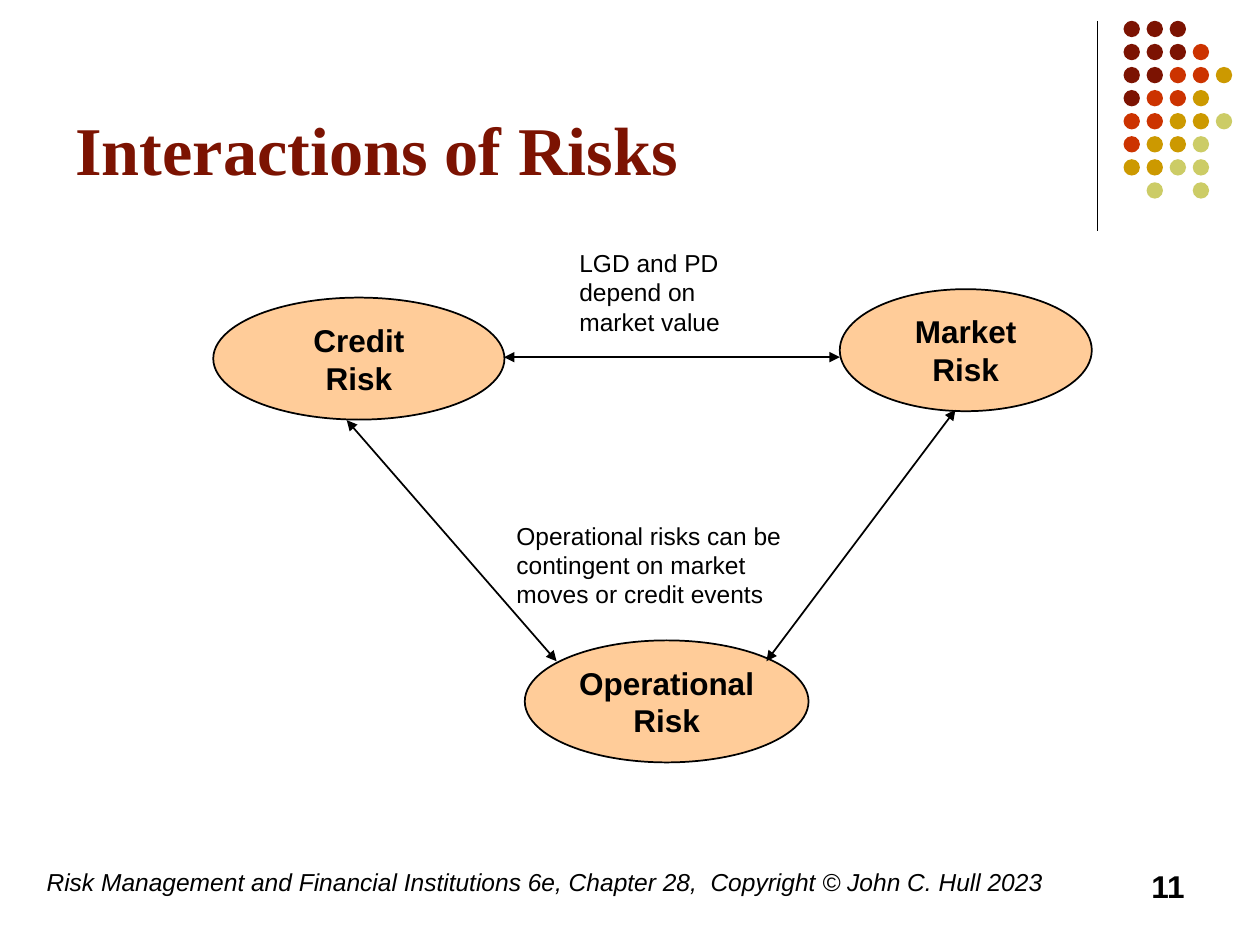
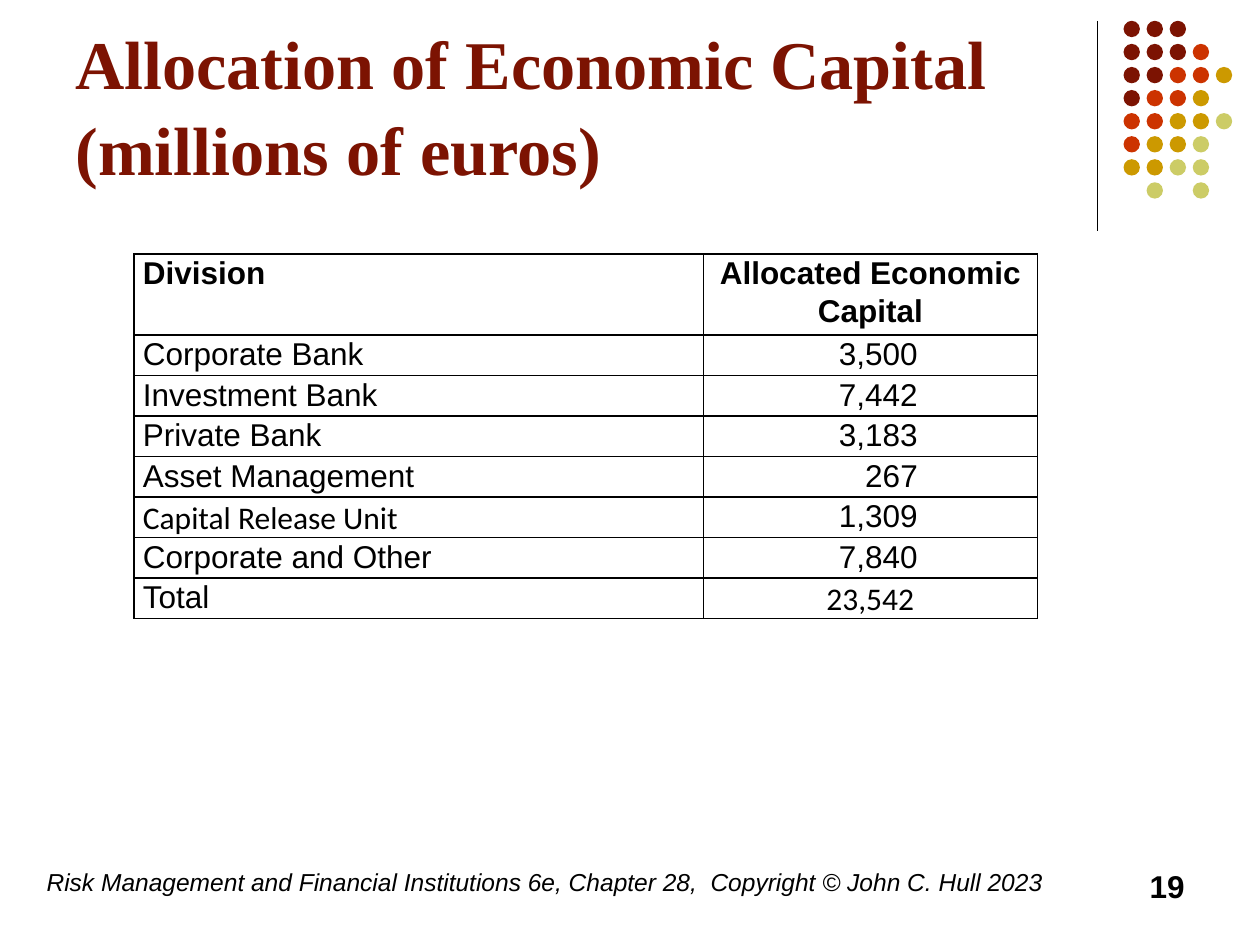
from dataclasses import dataclass

from lxml import etree
from pptx import Presentation, util as u
from pptx.dml.color import RGBColor
from pptx.enum import shapes, text
from pptx.oxml import parse_xml
from pptx.oxml.ns import nsdecls, qn


@dataclass(frozen=True)
class Theme:
    maroon: str = "7C1302"
    red: str = "CC3300"
    gold: str = "CC9900"
    olive: str = "CCCC66"
    peach: str = "FFCC99"
    black: str = "000000"
    heading_font: str = "Times New Roman"
    body_font: str = "Arial"
    alternate_font: str = "Calibri"
    title_size: float = 39
    body_size: float = 18
    note_size: float = 14


theme = Theme()


def write_text(frame, content, *, size=theme.body_size, font=theme.body_font,
               color=theme.black, bold=False, italic=False,
               align=text.PP_ALIGN.LEFT, anchor=text.MSO_ANCHOR.TOP, spacing=None):
    """Fill a text frame, one paragraph per line of content."""
    frame.word_wrap = True
    frame.vertical_anchor = anchor
    for index, line in enumerate(content.split("\n")):
        paragraph = frame.add_paragraph() if index else frame.paragraphs[0]
        paragraph.alignment = align
        if spacing:
            paragraph.line_spacing = spacing
        run = paragraph.add_run()
        run.text = line
        run.font.size = u.Pt(size)
        run.font.name = font
        run.font.bold = bold
        run.font.italic = italic
        run.font.color.rgb = RGBColor.from_string(color)


def add_line(slide, start, end, width, arrows=False):
    """Draw a straight black line between two points in centimetres."""
    connector = slide.shapes.add_connector(
        shapes.MSO_CONNECTOR.STRAIGHT, *map(u.Cm, start + end))
    connector.line.width = u.Pt(width)
    connector.line.color.rgb = RGBColor.from_string(theme.black)
    if arrows:
        line_xml = connector.line._get_or_add_ln()
        for tag in ("a:headEnd", "a:tailEnd"):
            etree.SubElement(line_xml, qn(tag), type="triangle")
    etree.SubElement(connector._element.spPr, qn("a:effectLst"))


presentation = Presentation()
presentation.slide_width = u.Cm(25.4)
presentation.slide_height = u.Cm(19.05)
blank_layout = presentation.slide_layouts[6]

# Shared frame: rule, dot pattern, title, footer and slide number
FOOTER = "Risk Management and Financial Institutions 6e, Chapter 28,  Copyright © John C. Hull 2023"
DOT_ROWS = ["MMM", "MMMR", "MMRRG", "MRRG", "RRGGO", "RGGO", "GGOO", " O O"]
DOT_COLORS = {"M": theme.maroon, "R": theme.red, "G": theme.gold, "O": theme.olive}
DOT_SIZE = 0.33
DOT_PITCH = 1.86 / 4

slides = []
for title, number in [
    ("Interactions of Risks", "11"),
    ("Allocation of Economic Capital (millions of euros)", "19"),
]:
    slide = presentation.slides.add_slide(blank_layout)
    slides.append(slide)
    add_line(slide, (22.12, 0.42), (22.12, 4.66), 0.75)

    dots = slide.shapes.add_group_shape()
    for row, pattern in enumerate(DOT_ROWS):
        for column, key in enumerate(pattern):
            if key == " ":
                continue
            dot = dots.shapes.add_shape(
                shapes.MSO_SHAPE.OVAL,
                u.Cm(22.65 + column * DOT_PITCH), u.Cm(0.42 + row * DOT_PITCH),
                u.Cm(DOT_SIZE), u.Cm(DOT_SIZE))
            dot.shadow.inherit = False
            dot.fill.solid()
            dot.fill.fore_color.rgb = RGBColor.from_string(DOT_COLORS[key])
            dot.line.fill.background()

    for content, box, style in [
        (title, (1.27, 0.33, 20.96, 3.6),
         dict(size=theme.title_size, font=theme.heading_font, color=theme.maroon,
              bold=True, anchor=text.MSO_ANCHOR.BOTTOM, spacing=1.05)),
        (FOOTER, (0.69, 17.35, 21, 1.27), dict(size=theme.note_size, italic=True)),
        (number, (18.21, 17.35, 5.92, 1.27),
         dict(bold=True, align=text.PP_ALIGN.RIGHT)),
    ]:
        text_box = slide.shapes.add_textbox(*map(u.Cm, box))
        write_text(text_box.text_frame, content, **style)

risk_slide, capital_slide = slides

# Risks and the links between them
for name, box in [
    ("Credit\nRisk", (4.3, 6, 5.87, 2.46)),
    ("Market\nRisk", (16.93, 5.83, 5.08, 2.46)),
    ("Operational\nRisk", (10.58, 12.91, 5.72, 2.46)),
]:
    risk = risk_slide.shapes.add_shape(shapes.MSO_SHAPE.OVAL, *map(u.Cm, box))
    risk.shadow.inherit = False
    risk.fill.solid()
    risk.fill.fore_color.rgb = RGBColor.from_string(theme.peach)
    risk.line.color.rgb = RGBColor.from_string(theme.black)
    risk.line.width = u.Pt(1)
    risk.text_frame.margin_left = risk.text_frame.margin_right = u.Cm(0.1)
    write_text(risk.text_frame, name, bold=True, align=text.PP_ALIGN.CENTER,
               anchor=text.MSO_ANCHOR.MIDDLE)

for start, end in [
    ((10.16, 7.2), (16.93, 7.2)),
    ((11.22, 13.33), (6.99, 8.47)),
    ((19.26, 8.26), (15.45, 13.33)),
]:
    add_line(risk_slide, start, end, 1, arrows=True)

for note, box in [
    ("LGD and PD depend on market value", (11.43, 4.87, 3.81, 2.03)),
    ("Operational risks can be contingent on market moves or credit events",
     (10.16, 10.37, 6.35, 2.03)),
]:
    note_box = risk_slide.shapes.add_textbox(*map(u.Cm, box))
    write_text(note_box.text_frame, note, size=theme.note_size)

# Capital by division
ALLOCATIONS = [
    ("Division", "Allocated Economic Capital"),
    ("Corporate Bank", "3,500"),
    ("Investment Bank", "7,442"),
    ("Private Bank", "3,183"),
    ("Asset Management", "267"),
    ("Capital Release Unit", "1,309"),
    ("Corporate and Other", "7,840"),
    ("Total", "23,542"),
]
ALTERNATE_FONT_CELLS = {"Capital Release Unit", "23,542"}
COLUMN_WIDTHS = [11.48, 6.73]
ROW_HEIGHTS = [1.52, 0.76, 0.76, 0.76, 0.76, 0.82, 0.76, 0.82]
CELL_MARGIN = 0.18
FIGURE_MARGIN = 2.41

table = capital_slide.shapes.add_table(
    len(ALLOCATIONS), len(COLUMN_WIDTHS), u.Cm(2.7), u.Cm(5.12),
    u.Cm(sum(COLUMN_WIDTHS)), u.Cm(sum(ROW_HEIGHTS))).table
table.first_row = table.horz_banding = False
for column, width in zip(table.columns, COLUMN_WIDTHS):
    column.width = u.Cm(width)

for row, (height, entries) in enumerate(zip(ROW_HEIGHTS, ALLOCATIONS)):
    table.rows[row].height = u.Cm(height)
    is_header = row == 0
    is_total = row == len(ALLOCATIONS) - 1
    for column, entry in enumerate(entries):
        cell = table.cell(row, column)
        cell.margin_top = cell.margin_bottom = 0
        cell.margin_left = cell.margin_right = u.Cm(CELL_MARGIN)
        if column == 0:
            align = text.PP_ALIGN.LEFT
        elif is_header or is_total:
            align = text.PP_ALIGN.CENTER
        else:
            align = text.PP_ALIGN.RIGHT
            cell.margin_right = u.Cm(FIGURE_MARGIN)
        write_text(
            cell.text_frame, entry, bold=is_header, align=align, spacing=1.07,
            font=theme.alternate_font if entry in ALTERNATE_FONT_CELLS else theme.body_font)
        properties = cell._tc.get_or_add_tcPr()
        for side in "LRTB":
            properties.append(parse_xml(
                f'<a:ln{side} {nsdecls("a")} w="{u.Pt(1)}"><a:solidFill>'
                f'<a:srgbClr val="{theme.black}"/></a:solidFill></a:ln{side}>'))
        cell.fill.background()

presentation.save("out.pptx")
